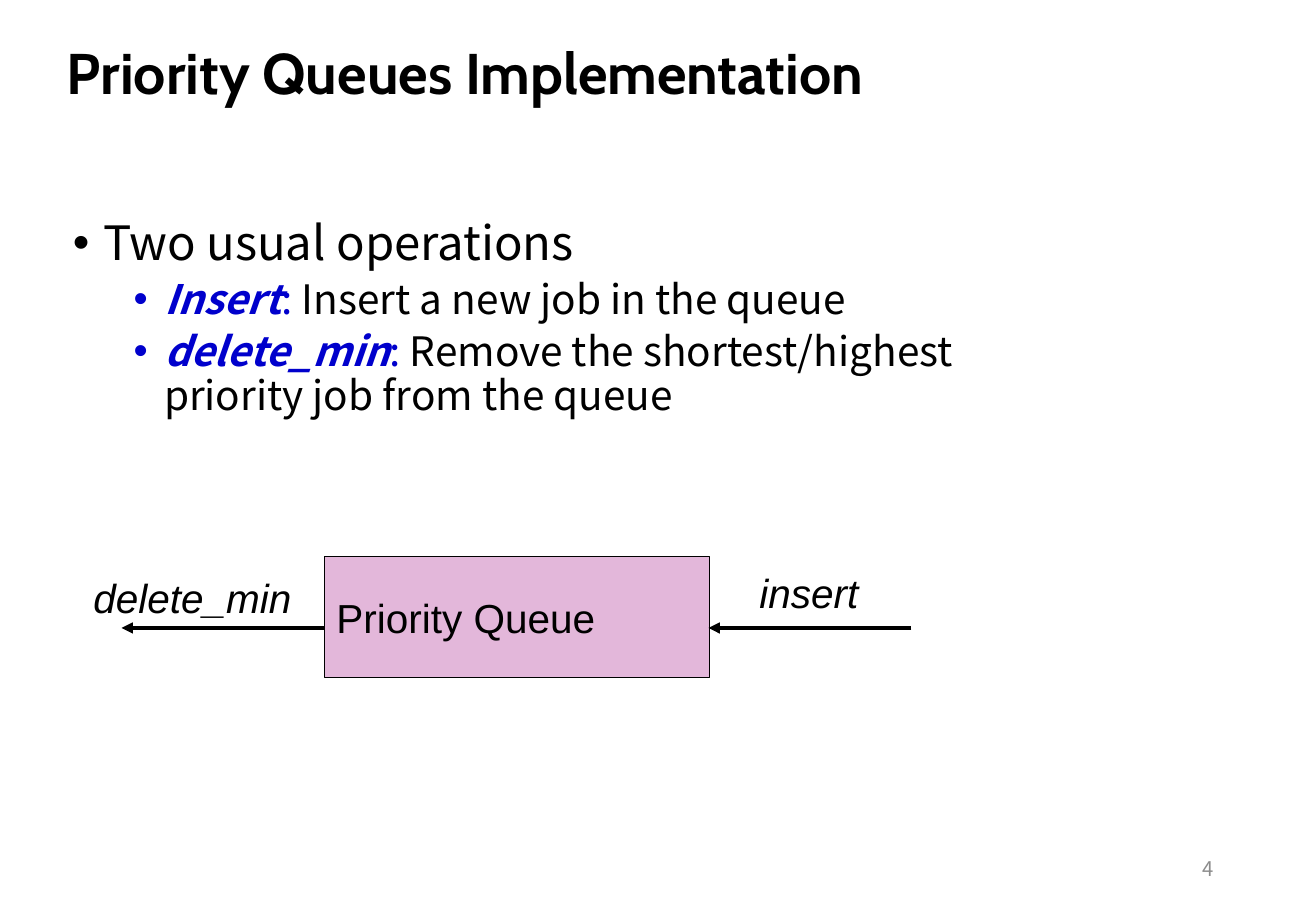
from lxml import etree
from pptx import Presentation
from pptx import util as u
from pptx.dml.color import RGBColor
from pptx.enum import shapes, text
from pptx.oxml.ns import qn

HUES = {"black": "000000", "blue": "0000CC", "pink": "E3B7DA", "gray": "8C8C8C"}
SANS = "Noto Sans CJK SC"


def style(font, name, size, hue="black", bold=False, slant=False):
    font.name = name
    font.size = u.Pt(size)
    font.color.rgb = RGBColor.from_string(HUES[hue])
    font.bold = bold
    font.italic = slant


def place(shape, left, top, width, height):
    shape.left, shape.top = u.Inches(left), u.Inches(top)
    shape.width, shape.height = u.Inches(width), u.Inches(height)


deck = Presentation()
deck.slide_width, deck.slide_height = u.Inches(10.83), u.Inches(7.5)
slide = deck.slides.add_slide(deck.slide_layouts[1])

title = slide.shapes.title
place(title, 0.5, 0.19, 7.92, 0.68)
frame = title.text_frame
frame.text = "Priority Queues Implementation"
frame.auto_size = text.MSO_AUTO_SIZE.NONE
frame.vertical_anchor = text.MSO_ANCHOR.BOTTOM
frame.margin_left = frame.margin_right = u.Inches(0.05)
frame.margin_top = frame.margin_bottom = 0
frame.paragraphs[0].alignment = text.PP_ALIGN.LEFT
style(frame.paragraphs[0].font, "Cabin", 34, bold=True)

body = slide.placeholders[1]
place(body, 0.5, 1.76, 7.92, 2.07)
frame = body.text_frame
frame.auto_size = text.MSO_AUTO_SIZE.NONE
items = [
    (0, "", "Two usual operations"),
    (1, "Insert", " Insert a new job in the queue"),
    (1, "delete_min", " Remove the shortest/highest priority job from the queue"),
]
for i, (level, term, note) in enumerate(items):
    para = frame.add_paragraph() if i else frame.paragraphs[0]
    para.level = level
    para.line_spacing = 0.9
    para.space_before = u.Pt(5 if i else 0)
    props = para._p.get_or_add_pPr()
    props.set("marL", str(u.Inches(0.25 + 0.5 * level)))
    props.set("indent", str(u.Inches(-0.25)))
    etree.SubElement(props, qn("a:buChar")).set("char", "•")
    size = 24 if level else 28
    if term:
        para.font.name = SANS
        para.font.size = u.Pt(size)
        for words, hue, strong in [(term, "blue", True), (":", "blue", False), (note, "black", False)]:
            run = para.add_run()
            run.text = words
            style(run.font, SANS, size, hue, strong, strong)
    else:
        para.add_run().text = note
        style(para.font, SANS, size)

queue = slide.shapes.add_shape(shapes.MSO_SHAPE.RECTANGLE, 0, 0, 0, 0)
place(queue, 2.67, 4.58, 3.17, 1)
queue.shadow.inherit = False
queue.fill.solid()
queue.fill.fore_color.rgb = RGBColor.from_string(HUES["pink"])
queue.line.color.rgb = RGBColor.from_string(HUES["black"])
queue.line.width = u.Pt(0.75)
frame = queue.text_frame
frame.text = "Priority Queue"
frame.word_wrap = False
frame.vertical_anchor = text.MSO_ANCHOR.MIDDLE
frame.paragraphs[0].alignment = text.PP_ALIGN.LEFT
style(frame.paragraphs[0].font, "Arial", 24)

for start, end in [(7.5, 5.83), (2.67, 1)]:
    arrow = slide.shapes.add_connector(
        shapes.MSO_CONNECTOR.STRAIGHT,
        u.Inches(start), u.Inches(5.17), u.Inches(end), u.Inches(5.17))
    arrow.line.color.rgb = RGBColor.from_string(HUES["black"])
    arrow.line.width = u.Pt(2.25)
    etree.SubElement(arrow.line._get_or_add_ln(), qn("a:tailEnd")).set("type", "triangle")
    etree.SubElement(arrow._element.spPr, qn("a:effectLst"))

for words, left, top, width in [("insert", 6.15, 4.63, 1.02), ("delete_min", 0.67, 4.67, 1.84)]:
    label = slide.shapes.add_textbox(0, 0, 0, 0)
    place(label, left, top, width, 0.5)
    frame = label.text_frame
    frame.text = words
    frame.word_wrap = False
    frame.auto_size = text.MSO_AUTO_SIZE.SHAPE_TO_FIT_TEXT
    style(frame.paragraphs[0].font, "Arial", 24, slant=True)

number = slide.shapes.add_textbox(0, 0, 0, 0)
place(number, 7.65, 6.95, 2.44, 0.4)
frame = number.text_frame
frame.text = "4"
frame.word_wrap = True
frame.vertical_anchor = text.MSO_ANCHOR.MIDDLE
frame.paragraphs[0].alignment = text.PP_ALIGN.RIGHT
style(frame.paragraphs[0].font, SANS, 12, "gray")

deck.save("out.pptx")
